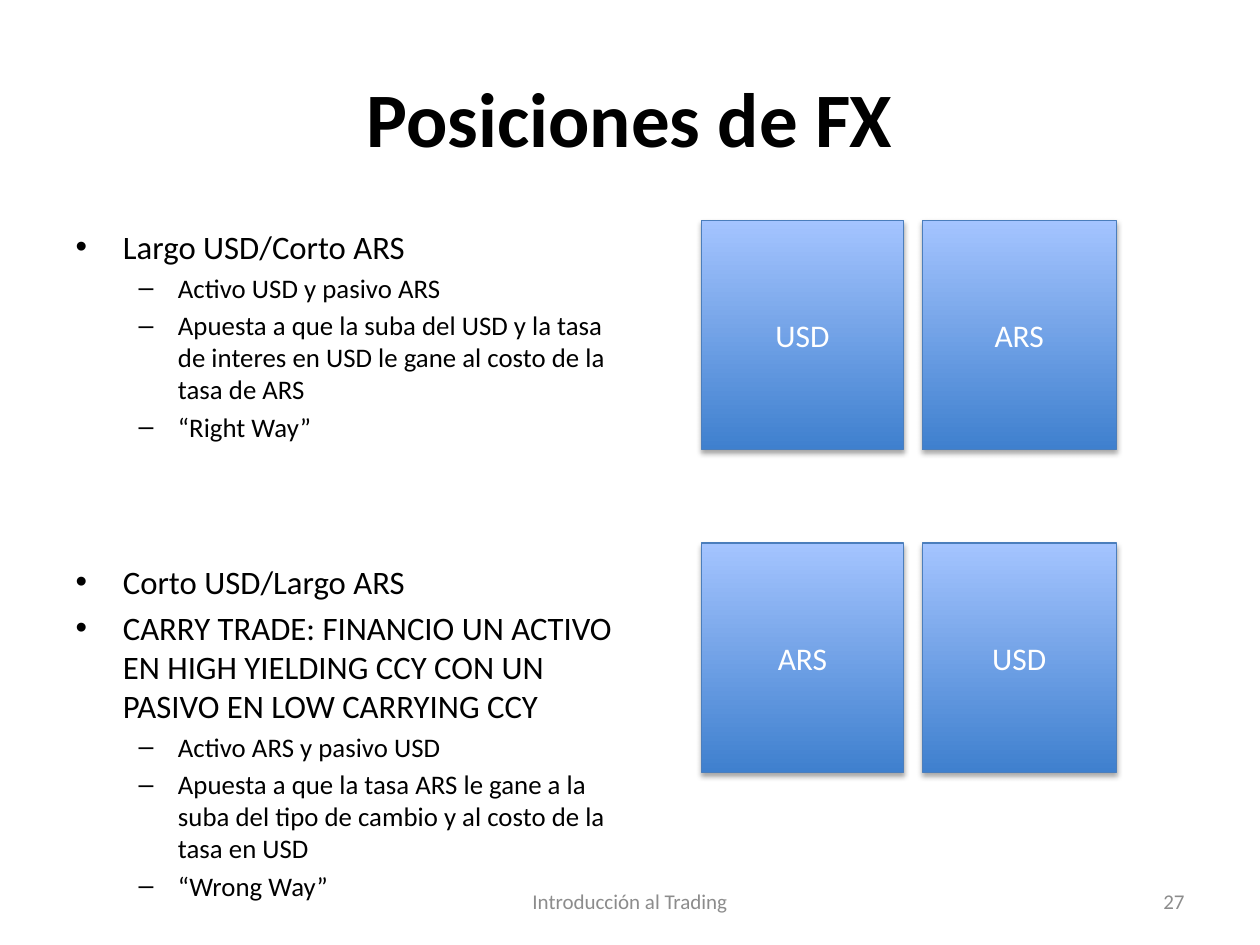
from lxml import etree
from pptx import Presentation
from pptx import util as u
from pptx.dml.color import RGBColor
from pptx.enum import shapes, text
from pptx.oxml.ns import qn

FONT = "Calibri"
BLACK, GREY, WHITE = "000000", "8C8C8C", "FFFFFF"
BOTTOM, TOP, EDGE = "3F80CE", "A4C4FF", "4B7EBC"
ALIGN = text.PP_ALIGN


def rgb(hex_):
    return RGBColor.from_string(hex_)


def set_all(obj, values):
    for name, value in values.items():
        setattr(obj, name, value)


def place(sp, left, top, width, height):
    set_all(sp, dict(left=u.Pt(left), top=u.Pt(top), width=u.Pt(width), height=u.Pt(height)))


class SlideBuilder:
    levels = {0: (18.7, 3.7), 1: (15.3, 3)}  # level: size, space before

    def __init__(self, prs):
        self.s = prs.slides.add_slide(prs.slide_layouts[1])

    def fill_paragraph(self, p, words, size, color, align=None, bold=False):
        p.text = words
        if align is not None:
            p.alignment = align
        set_all(p.font, dict(name=FONT, size=u.Pt(size), bold=bold))
        p.font.color.rgb = rgb(color)

    def frame(self, sp, anchor):
        tf = sp.text_frame
        set_all(tf, dict(word_wrap=True, auto_size=text.MSO_AUTO_SIZE.NONE,
                         vertical_anchor=anchor))
        return tf

    def title(self, words, box):
        sp = self.s.shapes.title
        place(sp, *box)
        tf = self.frame(sp, text.MSO_ANCHOR.MIDDLE)
        self.fill_paragraph(tf.paragraphs[0], words, 44, BLACK, ALIGN.CENTER, True)

    def bullets(self, groups, box, group_gap):
        """Fill the body with groups of (level, words), set apart by group_gap."""
        sp = self.s.placeholders[1]
        place(sp, *box)
        tf = self.frame(sp, text.MSO_ANCHOR.TOP)
        p = tf.paragraphs[0]
        for g, group in enumerate(groups):
            for i, (level, words) in enumerate(group):
                first = g == i == 0
                if not first:
                    p = tf.add_paragraph()
                p.level = level
                size, gap = self.levels[level]
                if g and i == 0:
                    gap = group_gap
                p.space_before = u.Pt(0 if first else gap)
                self.fill_paragraph(p, words, size, BLACK)

    def label(self, words, box, align):
        sp = self.s.shapes.add_textbox(*map(u.Pt, box))
        tf = self.frame(sp, text.MSO_ANCHOR.MIDDLE)
        self.fill_paragraph(tf.paragraphs[0], words, 12, GREY, align)

    def currency(self, words, box):
        sp = self.s.shapes.add_shape(shapes.MSO_SHAPE.RECTANGLE, *map(u.Pt, box))
        sp.fill.gradient()
        sp.fill.gradient_angle = 90
        for stop, position, color in zip(sp.fill.gradient_stops, (0, 1), (BOTTOM, TOP)):
            stop.position = position
            stop.color.rgb = rgb(color)
        sp.line.color.rgb = rgb(EDGE)
        sp.line.width = u.Pt(0.75)
        self.drop_shadow(sp)
        tf = self.frame(sp, text.MSO_ANCHOR.MIDDLE)
        self.fill_paragraph(tf.paragraphs[0], words, 18, WHITE, ALIGN.CENTER)

    def drop_shadow(self, sp):
        sp.shadow.inherit = False
        effects = sp.element.spPr.find(qn("a:effectLst"))
        shadow = etree.SubElement(effects, qn("a:outerShdw"), blurRad=str(u.Pt(3.1)),
                                  dist=str(u.Pt(1.8)), dir="5400000", rotWithShape="0")
        color = etree.SubElement(shadow, qn("a:srgbClr"), val=BLACK)
        etree.SubElement(color, qn("a:alpha"), val="35000")


def main():
    prs = Presentation()
    prs.slide_width, prs.slide_height = u.Pt(720), u.Pt(540)
    b = SlideBuilder(prs)
    b.title("Posiciones de FX", (36, 21.6, 648, 90))
    b.bullets([
        [(0, "Largo USD/Corto ARS"),
         (1, "Activo USD y pasivo ARS"),
         (1, "Apuesta a que la suba del USD y la tasa de interes en USD "
             "le gane al costo de la tasa de ARS"),
         (1, "“Right Way”")],
        [(0, "Corto USD/Largo ARS"),
         (0, "CARRY TRADE: FINANCIO UN ACTIVO EN HIGH YIELDING CCY "
             "CON UN PASIVO EN LOW CARRYING CCY"),
         (1, "Activo ARS y pasivo USD"),
         (1, "Apuesta a que la tasa ARS le gane a la suba del tipo de cambio "
             "y al costo de la tasa en USD"),
         (1, "“Wrong Way”")],
    ], (36, 126, 322, 356.4), group_gap=68)
    columns = (401, 115.2), (527, 110.9)
    for top, pair in ((126, ("USD", "ARS")), (310.3, ("ARS", "USD"))):
        for (left, width), words in zip(columns, pair):
            b.currency(words, (left, top, width, 131))
    b.label("Introducción al Trading", (246, 500.5, 228, 28.75), ALIGN.CENTER)
    b.label("27", (516, 500.5, 168, 28.75), ALIGN.RIGHT)
    prs.save("out.pptx")


if __name__ == "__main__":
    main()
